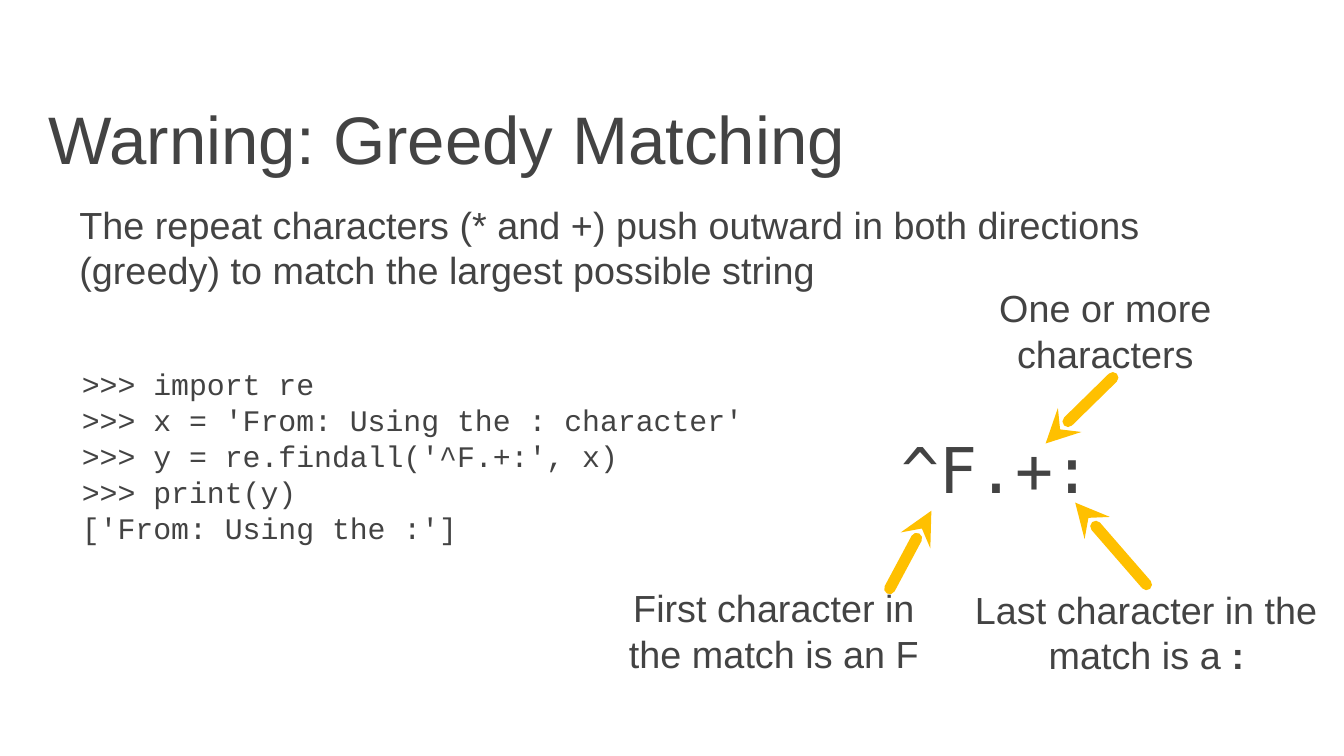
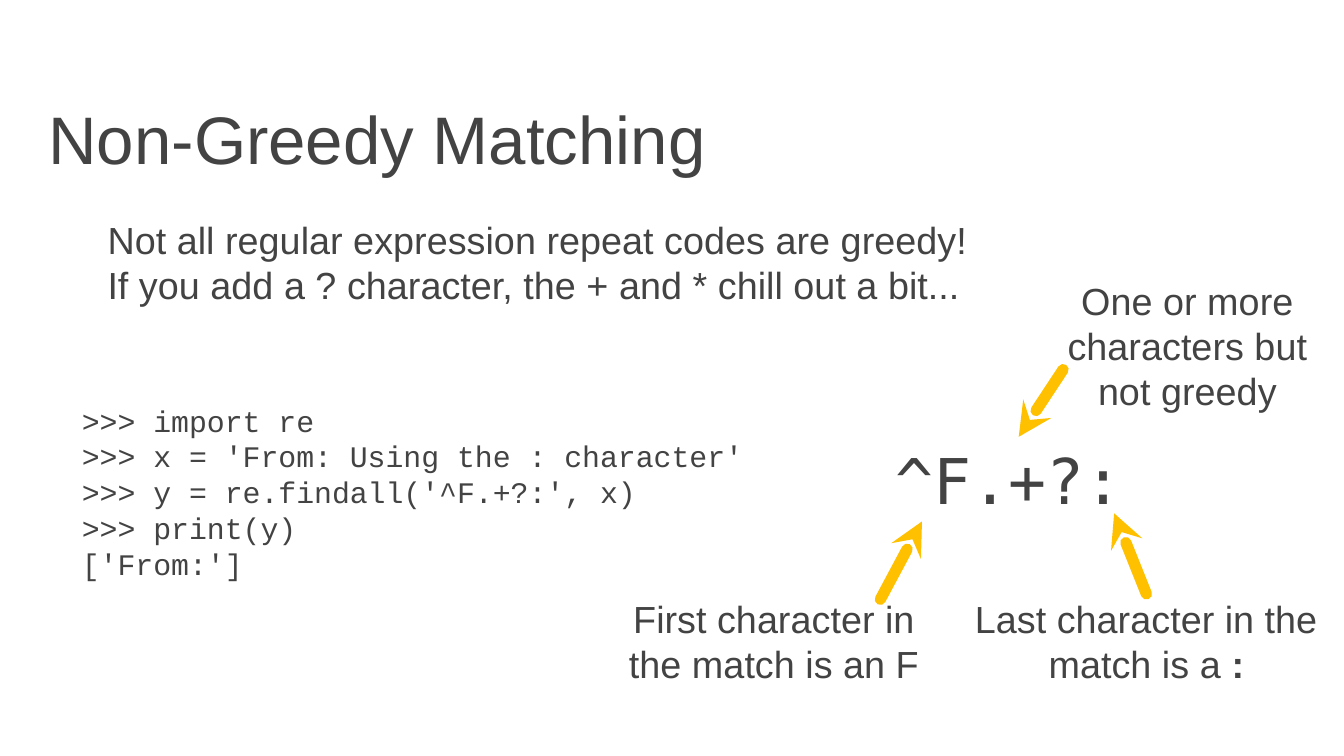
from dataclasses import dataclass

import pptx
import pptx.dml.color
import pptx.enum.shapes
import pptx.enum.text
import pptx.oxml
import pptx.util
from pptx.util import Inches

INK = "434343"
GOLD = "FFC000"
SANS = "Arial"
CODE = "Courier New"
MONO = "DejaVu Sans Mono"
SIZE = 20.25
PAD = 0.02
LEFT = pptx.enum.text.PP_ALIGN.LEFT
CENTER = pptx.enum.text.PP_ALIGN.CENTER
TOP = pptx.enum.text.MSO_ANCHOR.TOP
MIDDLE = pptx.enum.text.MSO_ANCHOR.MIDDLE

Box = tuple[float, float, float, float]


@dataclass
class Style:
    """How a block of text looks."""
    size: float = SIZE
    font: str = SANS
    align: int = LEFT
    anchor: int = MIDDLE
    pad: float = 0


HEAD = Style(size=36, pad=PAD)
LEAD = Style(anchor=TOP, pad=PAD)
LIST = Style(size=16, font=CODE)
REGEX = Style(size=33.8, font=MONO)
LABEL = Style(align=CENTER)


@dataclass
class Note:
    """A label with an arrow from its tail to the part it explains."""
    text: str
    box: Box
    tip: tuple[float, float]
    tail: tuple[float, float]
    bold: str = ""


@dataclass
class Page:
    """The content of one slide."""
    title: str
    lead: str
    lead_box: Box
    regex: str
    regex_box: Box
    result: str
    code_top: float
    notes: list[Note]


def color(code: str) -> pptx.dml.color.RGBColor:
    """Turn a hex string into a colour."""
    return pptx.dml.color.RGBColor.from_string(code)


def fill(shape, text: str, box: Box, style: Style) -> None:
    """Place a text shape, set its text and format it."""
    shape.left, shape.top, shape.width, shape.height = map(Inches, box)
    frame = shape.text_frame
    frame.text = text
    frame.word_wrap = True
    frame.auto_size = pptx.enum.text.MSO_AUTO_SIZE.NONE
    frame.vertical_anchor = style.anchor
    frame.margin_left = frame.margin_right = Inches(style.pad)
    frame.margin_top = frame.margin_bottom = Inches(style.pad)
    for para in frame.paragraphs:
        para.alignment = style.align
        para.line_spacing = 1.0
        para.space_before = pptx.util.Pt(0)
        for run in para.runs:
            dress(run, style)


def dress(run, style: Style) -> None:
    """Give a run its font, size and colour."""
    run.font.name = style.font
    run.font.size = pptx.util.Pt(style.size)
    run.font.color.rgb = color(INK)


def add_text(slide, text: str, box: Box, style: Style):
    """Add a text box."""
    shape = slide.shapes.add_textbox(*map(Inches, box))
    fill(shape, text, box, style)
    return shape


def indent(para, left: float) -> None:
    """Indent a paragraph and drop its bullet."""
    props = para._p.get_or_add_pPr()
    props.set("marL", str(Inches(left)))
    props.set("indent", "0")
    props.insert_element_before(
        pptx.oxml.parse_xml(f'<a:buNone {pptx.oxml.ns.nsdecls("a")}/>'),
        "a:tabLst", "a:defRPr", "a:extLst")


def add_note(slide, note: Note) -> None:
    """Add a label and its arrow."""
    shape = add_text(slide, note.text, note.box, LABEL)
    if note.bold:
        run = shape.text_frame.paragraphs[0].add_run()
        run.text = note.bold
        dress(run, LABEL)
        run.font.bold = True
    link = slide.shapes.add_connector(
        pptx.enum.shapes.MSO_CONNECTOR.STRAIGHT,
        *map(Inches, note.tip + note.tail))
    link.line.color.rgb = color(GOLD)
    link.line.width = pptx.util.Pt(6)
    space = pptx.oxml.ns.nsdecls("a")
    line = link.line._get_or_add_ln()
    line.append(pptx.oxml.parse_xml(f'<a:round {space}/>'))
    line.append(pptx.oxml.parse_xml(f'<a:headEnd {space} type="stealth"/>'))
    line.getparent().append(pptx.oxml.parse_xml(f'<a:effectLst {space}/>'))
    line.set("cap", "rnd")


def add_page(deck, page: Page) -> None:
    """Build one slide."""
    slide = deck.slides.add_slide(deck.slide_layouts[1])
    fill(slide.shapes.title, page.title, (0.34, 0.71, 9.32, 0.63), HEAD)
    body = slide.placeholders[1]
    fill(body, page.lead, page.lead_box, LEAD)
    indent(body.text_frame.paragraphs[0], 0.23)
    code = "\n".join([
        ">>> import re",
        ">>> x = 'From: Using the : character'",
        f">>> y = re.findall('{page.regex}', x)",
        ">>> print(y)",
        f"['{page.result}']",
    ])
    add_text(slide, code, (0.61, page.code_top, 6.17, 1.66), LIST)
    add_text(slide, page.regex, page.regex_box, REGEX)
    for note in page.notes:
        add_note(slide, note)


def first(top: float, tip: tuple[float, float]) -> Note:
    """Make the note on the first character."""
    tail = (tip[0] - 0.31, tip[1] + 0.58)
    return Note("First character in the match is an F",
                (4.51, top, 2.5, 0.7), tip, tail)


def last(top: float, tip: tuple[float, float]) -> Note:
    """Make the note on the last character."""
    return Note("Last character in the match is a ",
                (7.25, top, 2.56, 0.7), tip, (8.53, top), ":")


PAGES = [
    Page("Warning: Greedy Matching",
         "The repeat characters (* and +) push outward in both directions "
         "(greedy) to match the largest possible string",
         (0.34, 1.48, 8.57, 0.96),
         "^F.+:", (6.71, 3.17, 1.59, 0.63), "From: Using the :", 2.56,
         [Note("One or more characters", (7.23, 2.11, 1.99, 0.7),
               (7.78, 3.3), (8.28, 2.81)),
          first(4.34, (6.93, 3.8)),
          last(4.35, (8, 3.74))]),
    Page("Non-Greedy Matching",
         "Not all regular expression repeat codes are greedy! "
         "If you add a ? character, the + and * chill out a bit...",
         (0.55, 1.59, 6.8, 0.94),
         "^F.+?:", (6.66, 3.25, 1.82, 0.63), "From:", 2.83,
         [Note("One or more characters but not greedy",
               (7.84, 2.06, 1.99, 1.02), (7.58, 3.25), (7.91, 2.75)),
          first(4.42, (6.86, 3.88)),
          last(4.42, (8.29, 3.82))]),
]


def main() -> None:
    """Build the widescreen deck and save it."""
    deck = pptx.Presentation()
    deck.slide_width = Inches(10)
    deck.slide_height = deck.slide_width * 9 // 16
    for page in PAGES:
        add_page(deck, page)
    deck.save("out.pptx")


main()
